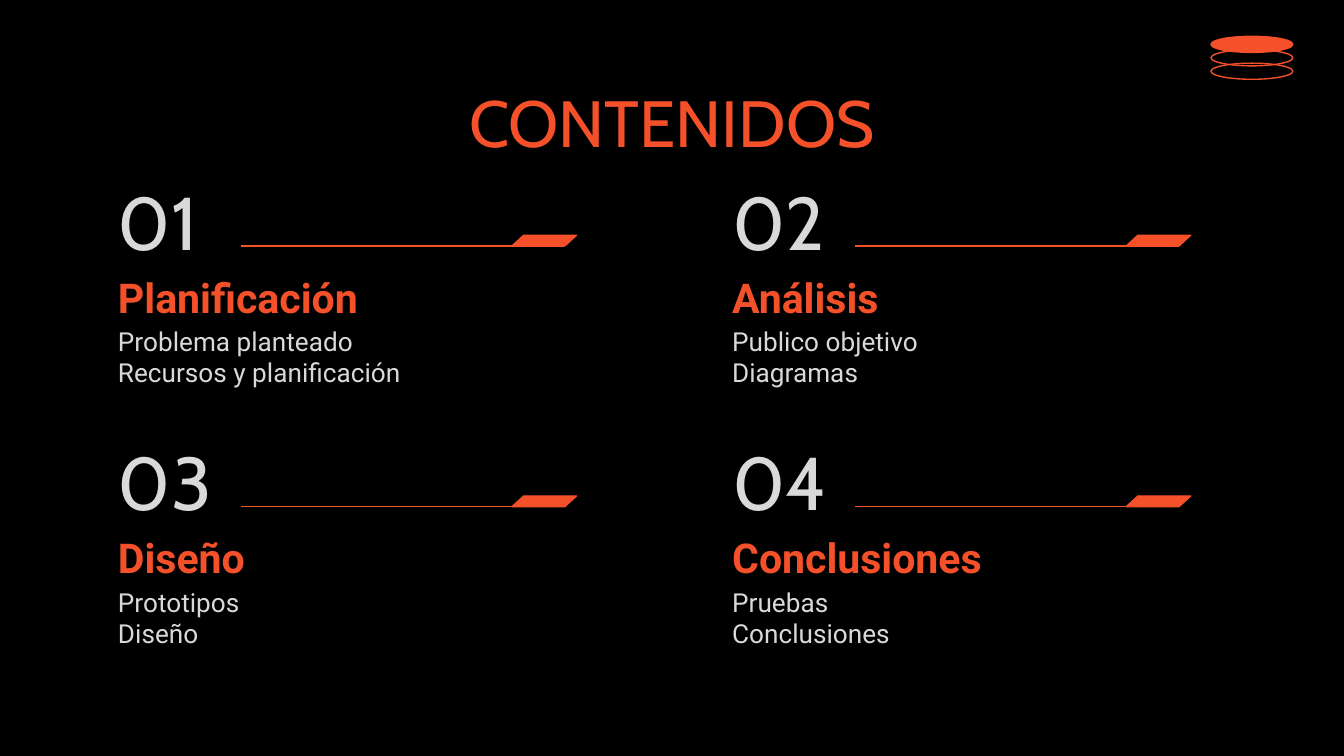
"""Build the contents slide: a title and four numbered sections in a grid."""
from lxml import etree
from pptx import Presentation
from pptx.dml.color import RGBColor
from pptx.enum.shapes import MSO_CONNECTOR, MSO_SHAPE
from pptx.enum.text import MSO_ANCHOR, MSO_AUTO_SIZE, PP_ALIGN
from pptx.oxml.ns import qn
from pptx.util import Inches, Pt

BLACK = RGBColor(0x00, 0x00, 0x00)
ORANGE = RGBColor(0xF4, 0x51, 0x2B)
LIGHT_GRAY = RGBColor(0xD9, 0xD9, 0xD9)
ELLIPSE = MSO_SHAPE.OVAL
PARALLELOGRAM = MSO_SHAPE.PARALLELOGRAM
STRAIGHT = MSO_CONNECTOR.STRAIGHT
TOP, MIDDLE, BOTTOM = MSO_ANCHOR.TOP, MSO_ANCHOR.MIDDLE, MSO_ANCHOR.BOTTOM
LEFT, CENTER = PP_ALIGN.LEFT, PP_ALIGN.CENTER
NO_AUTOFIT = MSO_AUTO_SIZE.NONE

SECTIONS = [
    ("01", "Planificación", ["Problema planteado", "Recursos y planificación"]),
    ("02", "Análisis", ["Publico objetivo", "Diagramas"]),
    ("03", "Diseño", ["Prototipos", "Diseño"]),
    ("04", "Conclusiones", ["Pruebas", "Conclusiones"]),
]
GRID_LEFT, GRID_TOP = 0.78, 1.26
COLUMN_STEP, ROW_STEP = 4.57, 1.94


def write_text(box, lines, font_name, size, color, anchor=TOP, align=LEFT, bold=False):
    frame = box.text_frame
    frame.word_wrap = True
    frame.auto_size = NO_AUTOFIT
    frame.vertical_anchor = anchor
    frame.margin_left = frame.margin_right = Inches(0.1)
    frame.margin_top = frame.margin_bottom = Inches(0.1)
    frame.text = "\n".join(lines)
    for para in frame.paragraphs:
        para.alignment = align
        para.font.name = font_name
        para.font.size = Pt(size)
        para.font.bold = bold
        para.font.color.rgb = color


def add_ornament(kind, left, top, width, height, filled=True):
    shape = page.shapes.add_shape(
        kind, Inches(left), Inches(top), Inches(width), Inches(height))
    shape.shadow.inherit = False
    shape.line.color.rgb = ORANGE
    shape.line.width = Pt(0.75)
    if filled:
        shape.fill.solid()
        shape.fill.fore_color.rgb = ORANGE
    else:
        shape.fill.background()
    return shape


deck = Presentation()
deck.slide_width, deck.slide_height = Inches(10), Inches(10 * 9 / 16)
page = deck.slides.add_slide(deck.slide_layouts[5])
page.background.fill.solid()
page.background.fill.fore_color.rgb = BLACK

for level in range(3):
    add_ornament(ELLIPSE, 9.01, 0.27 + 0.1 * level, 0.61, 0.12, filled=level == 0)

title = page.shapes.title
title.left, title.top = Inches(0.77), Inches(0.51)
title.width, title.height = Inches(8.46), Inches(0.62)
write_text(title, ["CONTENIDOS"], "Cabin", 35, ORANGE, align=CENTER)

for index, (number, heading, topics) in enumerate(SECTIONS):
    row, column = divmod(index, 2)
    left = GRID_LEFT + COLUMN_STEP * column
    top = GRID_TOP + ROW_STEP * row

    number_box = page.shapes.add_textbox(
        Inches(left), Inches(top), Inches(1), Inches(0.76))
    write_text(number_box, [number], "Cabin", 40, LIGHT_GRAY, anchor=MIDDLE)

    heading_box = page.shapes.add_textbox(
        Inches(left), Inches(top + 0.61), Inches(3.87), Inches(0.62))
    write_text(heading_box, [heading], "Roboto", 22, ORANGE, anchor=BOTTOM, bold=True)

    topics_box = page.shapes.add_textbox(
        Inches(left), Inches(top + 1.06), Inches(2.47), Inches(0.71))
    write_text(topics_box, topics, "Roboto", 14, LIGHT_GRAY)

    rule_y = Inches(top + 0.57)
    rule = page.shapes.add_connector(
        STRAIGHT, Inches(left + 1.01), rule_y, Inches(left + 3.42), rule_y)
    rule.line.color.rgb = ORANGE
    rule.line.width = Pt(0.75)
    etree.SubElement(rule.element.spPr, qn("a:effectLst"))

    marker = add_ornament(PARALLELOGRAM, left + 3.03, top + 0.49, 0.48, 0.08)
    marker.adjustments[0] = 1.09

deck.save("out.pptx")
